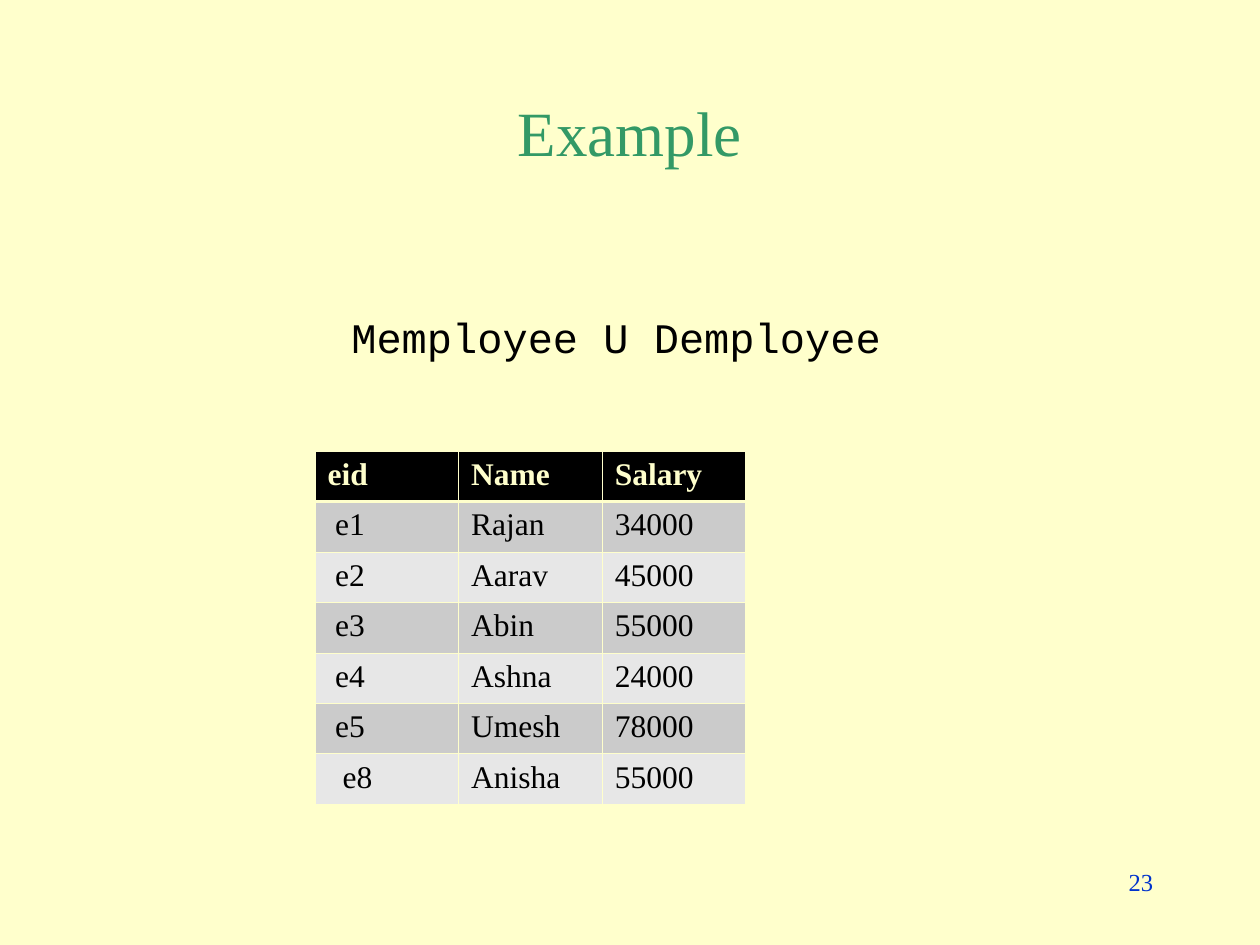
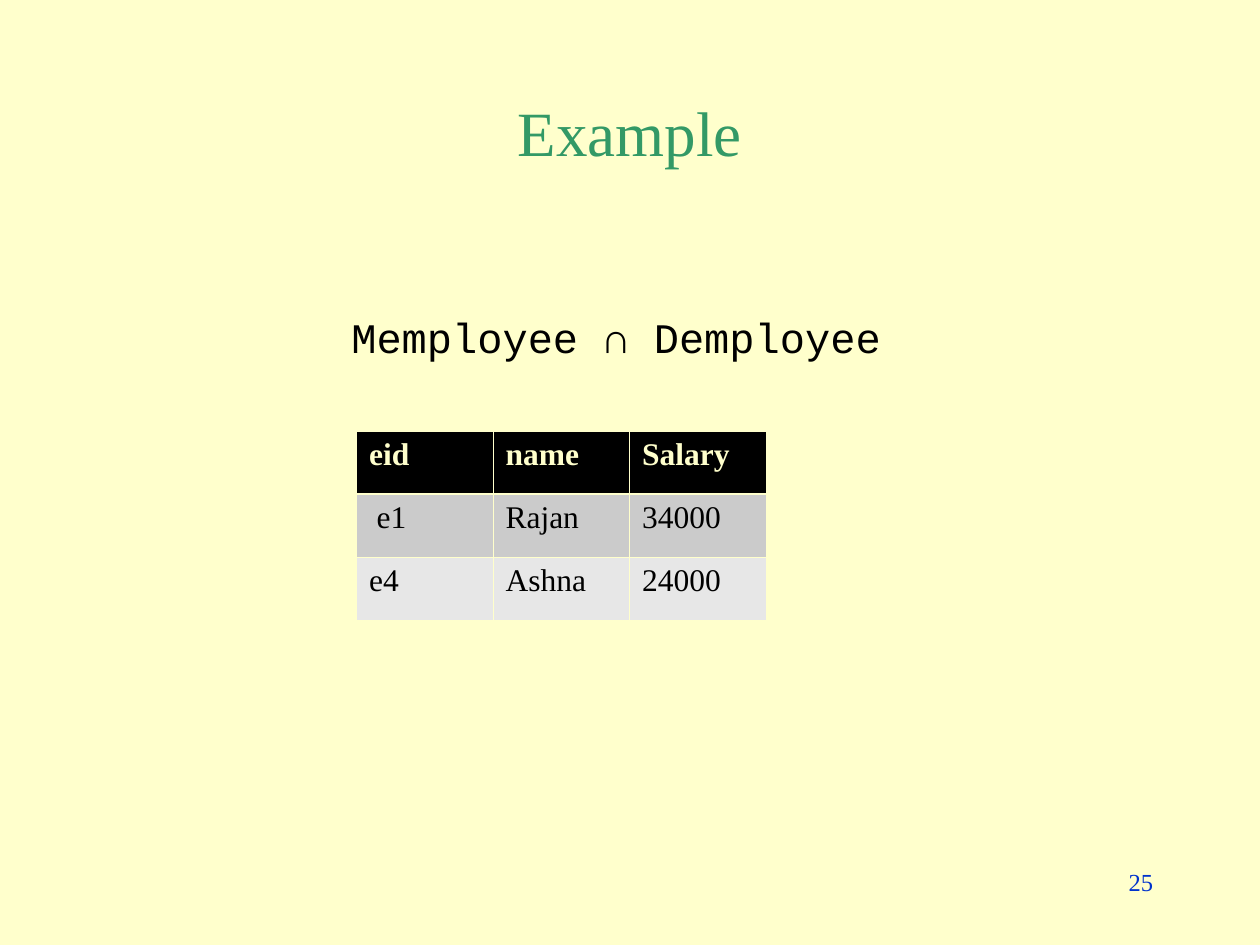
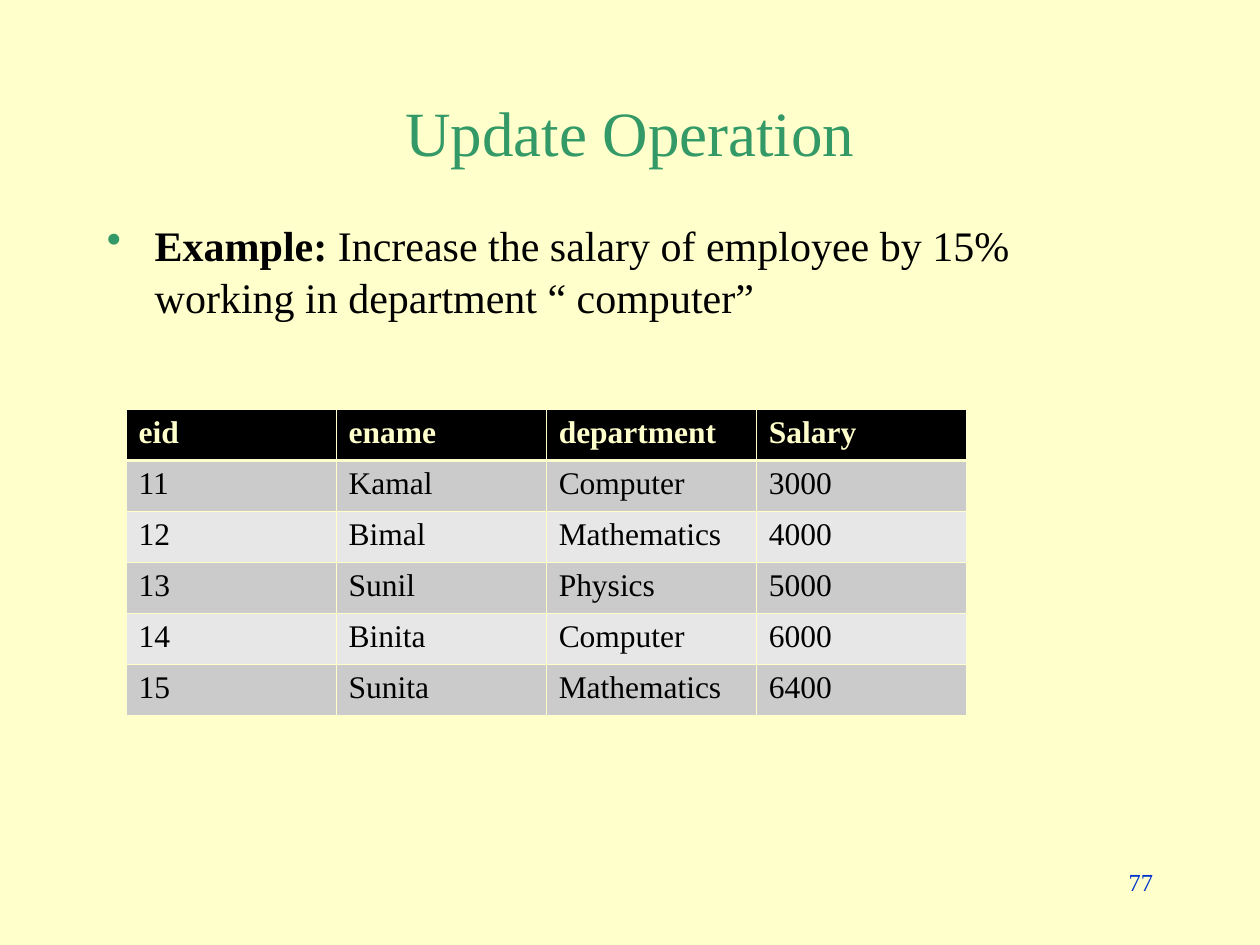
from lxml import etree
from pptx import Presentation
from pptx.dml.color import RGBColor
from pptx.enum.text import MSO_ANCHOR, MSO_AUTO_SIZE, PP_ALIGN
from pptx.oxml.ns import qn
from pptx.util import Inches, Pt

LEFT, MID, RIGHT = PP_ALIGN.LEFT, PP_ALIGN.CENTER, PP_ALIGN.RIGHT
TOP, CENTER = MSO_ANCHOR.TOP, MSO_ANCHOR.MIDDLE
GROW = MSO_AUTO_SIZE.SHAPE_TO_FIT_TEXT

CREAM, BLACK, GREEN, BLUE = "FFFFCC", "000000", "339966", "0033CC"
BANDS = ["CBCBCB", "E7E7E7"]
SERIF, MONO = "Times New Roman", "Courier New"
THIN, THICK = 0.45, 1.47
SPACE = 0.06  # indent step in the first table column


def color(code):
    return RGBColor.from_string(code)


def write(frame, text, size=18, font=SERIF, ink=BLACK, bold=False,
          align=LEFT, anchor=TOP, wrap=True, lead="", bullet=None):
    """Write one paragraph, with an optional bold lead and bullet."""
    frame.word_wrap = wrap
    frame.vertical_anchor = anchor
    para = frame.paragraphs[0]
    if bullet:
        props = para._p.get_or_add_pPr()
        props.set("marL", str(Inches(0.38)))
        props.set("indent", str(-Inches(0.38)))
        tint = etree.SubElement(props, qn("a:buClr"))
        etree.SubElement(tint, qn("a:srgbClr"), val=bullet)
        etree.SubElement(props, qn("a:buChar"), char="•")
        para.line_spacing = 1.05
    para.alignment = align
    for part, heavy in [(lead, True), (text, bold)]:
        if part:
            run = para.add_run()
            run.text = part
            run.font.name = font
            run.font.size = Pt(size)
            run.font.bold = heavy
            run.font.color.rgb = color(ink)


# Slide content; pads give the indent steps of each row's first cell
PAGES = [
    dict(title="Example", page="23", query="Memployee U Demployee",
         box=(2.5, 3.58, 3.42, 2.8), pads=[0, 1, 1, 1, 1, 1, 2],
         rows=[("eid", "Name", "Salary"),
               ("e1", "Rajan", "34000"),
               ("e2", "Aarav", "45000"),
               ("e3", "Abin", "55000"),
               ("e4", "Ashna", "24000"),
               ("e5", "Umesh", "78000"),
               ("e8", "Anisha", "55000")]),
    dict(title="Example", page="25", query="Memployee ∩ Demployee",
         box=(2.83, 3.42, 3.25, 1.5), pads=[0, 1, 0],
         rows=[("eid", "name", "Salary"),
               ("e1", "Rajan", "34000"),
               ("e4", "Ashna", "24000")]),
    dict(title="Update Operation", page="77", lead="Example:",
         body=" Increase the salary of employee by 15% working in "
              "department “ computer”",
         box=(1, 3.25, 6.67, 2.43), pads=[0] * 6,
         rows=[("eid", "ename", "department", "Salary"),
               ("11", "Kamal", "Computer", "3000"),
               ("12", "Bimal", "Mathematics", "4000"),
               ("13", "Sunil", "Physics", "5000"),
               ("14", "Binita", "Computer", "6000"),
               ("15", "Sunita", "Mathematics", "6400")]),
]

deck = Presentation()
deck.slide_width, deck.slide_height = Inches(10), Inches(7.5)

# Shared background
back = deck.slide_master.background.fill
back.solid()
back.fore_color.rgb = color(CREAM)

for page in PAGES:
    slide = deck.slides.add_slide(deck.slide_layouts[6])
    shapes = slide.shapes

    # Title and page number
    title = shapes.add_textbox(Inches(0.75), Inches(0.67), Inches(8.5), Inches(0.75))
    write(title.text_frame, page["title"], size=36, ink=GREEN, align=MID, anchor=CENTER)
    number = shapes.add_textbox(Inches(7.17), Inches(6.83), Inches(2.08), Inches(0.5))
    write(number.text_frame, page["page"], size=14, ink=BLUE, align=RIGHT)

    # Query line or bulleted text
    if "query" in page:
        query = shapes.add_textbox(Inches(2.69), Inches(2.42), Inches(4.4), Inches(0.5))
        write(query.text_frame, page["query"], size=24, font=MONO, wrap=False)
        query.text_frame.auto_size = GROW
    else:
        body = shapes.add_textbox(Inches(0.75), Inches(1.67), Inches(8.5), Inches(5))
        write(body.text_frame, page["body"], size=24, lead=page["lead"], bullet=GREEN)

    # Table with even rows and columns
    rows = page["rows"]
    left, top, width, height = map(Inches, page["box"])
    table = shapes.add_table(len(rows), len(rows[0]), left, top, width, height).table
    for r, row in enumerate(rows):
        for c, text in enumerate(row):
            cell = table.cell(r, c)
            head = r == 0
            if c == 0:
                cell.margin_left = Inches(0.1 + SPACE * page["pads"][r])
            write(cell.text_frame, text, ink=CREAM if head else BLACK, bold=head)
            cell.fill.solid()
            cell.fill.fore_color.rgb = color(BLACK if head else BANDS[(r - 1) % 2])

            # Cell borders, thicker under the header
            props = cell._tc.get_or_add_tcPr()
            sides = [("L", THIN), ("R", THIN), ("T", THICK if r == 1 else THIN),
                     ("B", THICK if head else THIN)]
            for i, (side, size) in enumerate(sides):
                line = etree.Element(qn("a:ln" + side), w=str(Pt(size)))
                fill = etree.SubElement(line, qn("a:solidFill"))
                etree.SubElement(fill, qn("a:srgbClr"), val=CREAM)
                props.insert(i, line)

deck.save("out.pptx")
